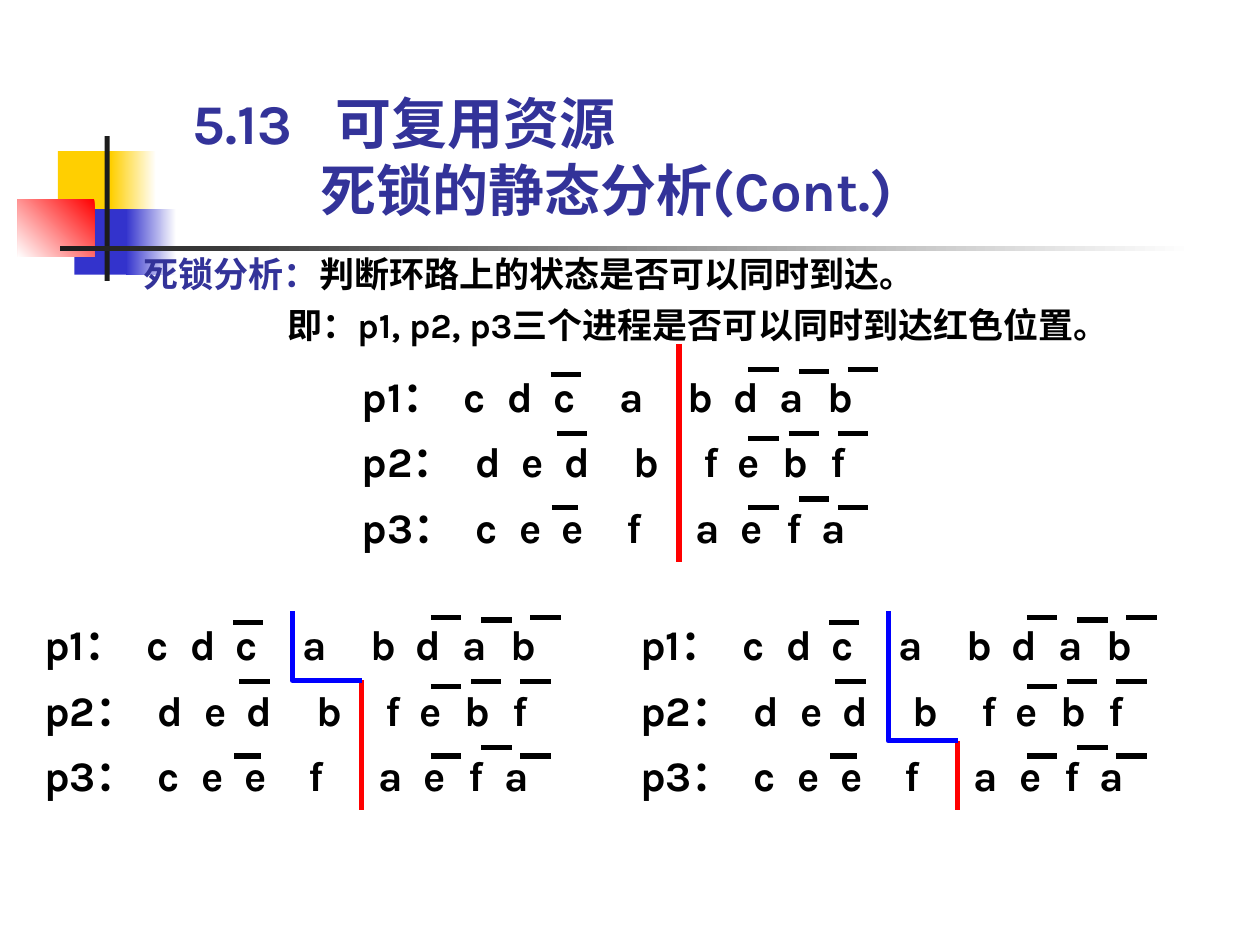
from typing import NamedTuple

from lxml import etree
from pptx import Presentation
from pptx.dml.color import RGBColor
from pptx.enum.shapes import MSO_CONNECTOR, MSO_SHAPE
from pptx.enum.text import MSO_ANCHOR, MSO_AUTO_SIZE, PP_ALIGN
from pptx.oxml.ns import qn
from pptx.util import Inches, Pt

RECTANGLE = MSO_SHAPE.RECTANGLE
STRAIGHT = MSO_CONNECTOR.STRAIGHT
TOP, BOTTOM = MSO_ANCHOR.TOP, MSO_ANCHOR.BOTTOM
LEFT = PP_ALIGN.LEFT
NO_AUTOFIT = MSO_AUTO_SIZE.NONE

FONT = "Karla"
BLACK, NAVY, RED, BLUE = "000000", "333399", "FF0000", "0000FF"
YELLOW, INDIGO, CHARCOAL, WHITE = "FFCF01", "3333CC", "1C1C1C", "FFFFFF"


class Ornament(NamedTuple):
    left: float
    top: float
    width: float
    height: float
    colour: str
    fade_to: str = ""  # end colour of a gradient, if any
    angle: int = 0


class Process(NamedTuple):
    label: str
    steps: str
    stops: tuple  # left edge of each step
    bars: tuple  # (left, top) of each release bar
    first_bar_width: float = 0.24


class Schedule(NamedTuple):
    left: float
    top: float
    cut_top: float
    turn: float | None = None  # height at which the blue path turns right


ORNAMENTS = (
    Ornament(0.46, 1.2, 0.48, 0.52, YELLOW),
    Ornament(0.88, 1.2, 0.36, 0.52, WHITE, YELLOW, 180),
    Ornament(0.59, 1.66, 0.46, 0.52, INDIGO),
    Ornament(1, 1.66, 0.4, 0.52, WHITE, INDIGO, 180),
    Ornament(0.14, 1.58, 0.61, 0.46, RED, WHITE, 225),
    Ornament(0.83, 1.08, 0.04, 1.15, CHARCOAL),
    Ornament(0.48, 1.95, 9, 0.04, WHITE, CHARCOAL, 180),
)

# Positions are relative to the top left corner of a schedule
PROCESSES = (
    Process("p1：", "cdcabdab", (0.81, 1.16, 1.52, 2.05, 2.59, 2.95, 3.32, 3.7),
            ((1.5, 0.15), (3.07, 0.11), (3.47, 0.13), (3.86, 0.11))),
    Process("p2：", "dedbfebf", (0.9, 1.27, 1.61, 2.16, 2.71, 2.98, 3.34, 3.72),
            ((1.55, 0.62), (3.07, 0.66), (3.39, 0.62), (3.78, 0.62))),
    Process("p3：", "ceefaefa", (0.9, 1.25, 1.59, 2.1, 2.65, 3.01, 3.37, 3.65),
            ((1.51, 1.21), (3.07, 1.21), (3.47, 1.14), (3.78, 1.21)), 0.21),
)
BAR_WIDTH = 0.24
BLUE_X, RED_X, CUT_BOTTOM = 1.97, 2.52, 1.64

SCHEDULES = (
    Schedule(2.87, 2.82, -0.09),
    Schedule(0.35, 4.79, 0.06, 0.61),
    Schedule(5.08, 4.79, 0.06, 1.09),
)


def rgb(colour: str) -> RGBColor:
    return RGBColor.from_string(colour)


def prepare_frame(shape, anchor):
    frame = shape.text_frame
    frame.margin_left = frame.margin_top = frame.margin_right = frame.margin_bottom = 0
    frame.word_wrap = True
    frame.auto_size = NO_AUTOFIT
    frame.vertical_anchor = anchor
    return frame


def add_text_box(shapes, left: float, top: float, width: float, height: float, anchor):
    box = shapes.add_textbox(Inches(left), Inches(top), Inches(width), Inches(height))
    return prepare_frame(box, anchor)


def format_paragraph(paragraph, size: int, colour: str, spacing: float = 1.0,
                     stops: tuple = (), indent: float = 0) -> None:
    properties = paragraph._p.get_or_add_pPr()
    if indent:
        properties.set("marL", str(Inches(indent)))
    if stops:
        # An explicit first-line indent would reset the tab stops
        tab_list = etree.SubElement(properties, qn("a:tabLst"))
        for stop in stops:
            etree.SubElement(tab_list, qn("a:tab"), pos=str(Inches(stop)), algn="l")
    paragraph.alignment = LEFT
    paragraph.line_spacing = spacing
    font = paragraph.font
    font.name, font.size, font.bold = FONT, Pt(size), True
    font.color.rgb = rgb(colour)


def add_ornament(shapes, ornament: Ornament) -> None:
    block = shapes.add_shape(RECTANGLE, *(Inches(length) for length in ornament[:4]))
    block.shadow.inherit = False
    block.line.fill.background()
    if not ornament.fade_to:
        block.fill.solid()
        block.fill.fore_color.rgb = rgb(ornament.colour)
        return
    block.fill.gradient()
    block.fill.gradient_angle = ornament.angle
    for stop, colour in zip(block.fill.gradient_stops, (ornament.colour, ornament.fade_to)):
        stop.color.rgb = rgb(colour)


def add_line(shapes, x1: float, y1: float, x2: float, y2: float, colour: str) -> None:
    line = shapes.add_connector(STRAIGHT, Inches(x1), Inches(y1), Inches(x2), Inches(y2))
    line.line.color.rgb = rgb(colour)
    line.line.width = Pt(3)
    etree.SubElement(line._element.spPr, qn("a:effectLst"))


def add_schedule(slide, schedule: Schedule) -> None:
    shapes = slide.shapes.add_group_shape().shapes
    left, top = schedule.left, schedule.top

    # Steps of the three processes
    frame = add_text_box(shapes, left, top, 4.25, 1.56, TOP)
    for row, process in enumerate(PROCESSES):
        paragraph = frame.add_paragraph() if row else frame.paragraphs[0]
        paragraph.text = "\t".join((process.label, *process.steps))
        format_paragraph(paragraph, 24, BLACK, 1.3, process.stops)

    # Bars over released resources
    for process in PROCESSES:
        for column, (x, y) in enumerate(process.bars):
            width = BAR_WIDTH if column else process.first_bar_width
            add_line(shapes, left + x, top + y, left + x + width, top + y, BLACK)

    # Red position and the blue path leading to it
    turn = schedule.turn
    red_top = schedule.cut_top if turn is None else turn
    add_line(shapes, left + RED_X, top + red_top, left + RED_X, top + CUT_BOTTOM, RED)
    if turn is not None:
        corners = [(Inches(left + x), Inches(top + y)) for x, y in
                   ((BLUE_X, schedule.cut_top), (BLUE_X, turn), (RED_X, turn))]
        builder = shapes.build_freeform(*corners[0])
        builder.add_line_segments(corners[1:], close=False)
        blue_path = builder.convert_to_shape()
        blue_path.shadow.inherit = False
        blue_path.fill.background()
        blue_path.line.color.rgb = rgb(BLUE)
        blue_path.line.width = Pt(3)


def main() -> None:
    deck = Presentation()
    deck.slide_width, deck.slide_height = Inches(10), Inches(7.5)
    slide = deck.slides.add_slide(deck.slide_layouts[5])

    for ornament in ORNAMENTS:
        add_ornament(slide.shapes, ornament)

    # Title
    title = slide.shapes.title
    title.left, title.top = Inches(1.53), Inches(0.7)
    title.width, title.height = Inches(6.46), Inches(1.07)
    heading = prepare_frame(title, BOTTOM)
    heading.text = "5.13\t可复用资源\n死锁的静态分析(Cont.)"
    format_paragraph(heading.paragraphs[0], 32, NAVY, stops=(1.13,))
    format_paragraph(heading.paragraphs[1], 32, NAVY, indent=1.01)

    # Question to be analysed
    question = add_text_box(slide.shapes, 1.14, 1.94, 8.51, 0.8, BOTTOM)
    question.text = "死锁分析：\n即：p1, p2, p3三个进程是否可以同时到达红色位置。"
    lead, detail = question.paragraphs
    format_paragraph(lead, 20, NAVY, 1.2)
    format_paragraph(detail, 20, BLACK, 1.2, indent=1.14)
    statement = lead.add_run()
    statement.text = "判断环路上的状态是否可以同时到达。"
    statement.font.color.rgb = rgb(BLACK)

    for schedule in SCHEDULES:
        add_schedule(slide, schedule)

    deck.save("out.pptx")


if __name__ == "__main__":
    main()
